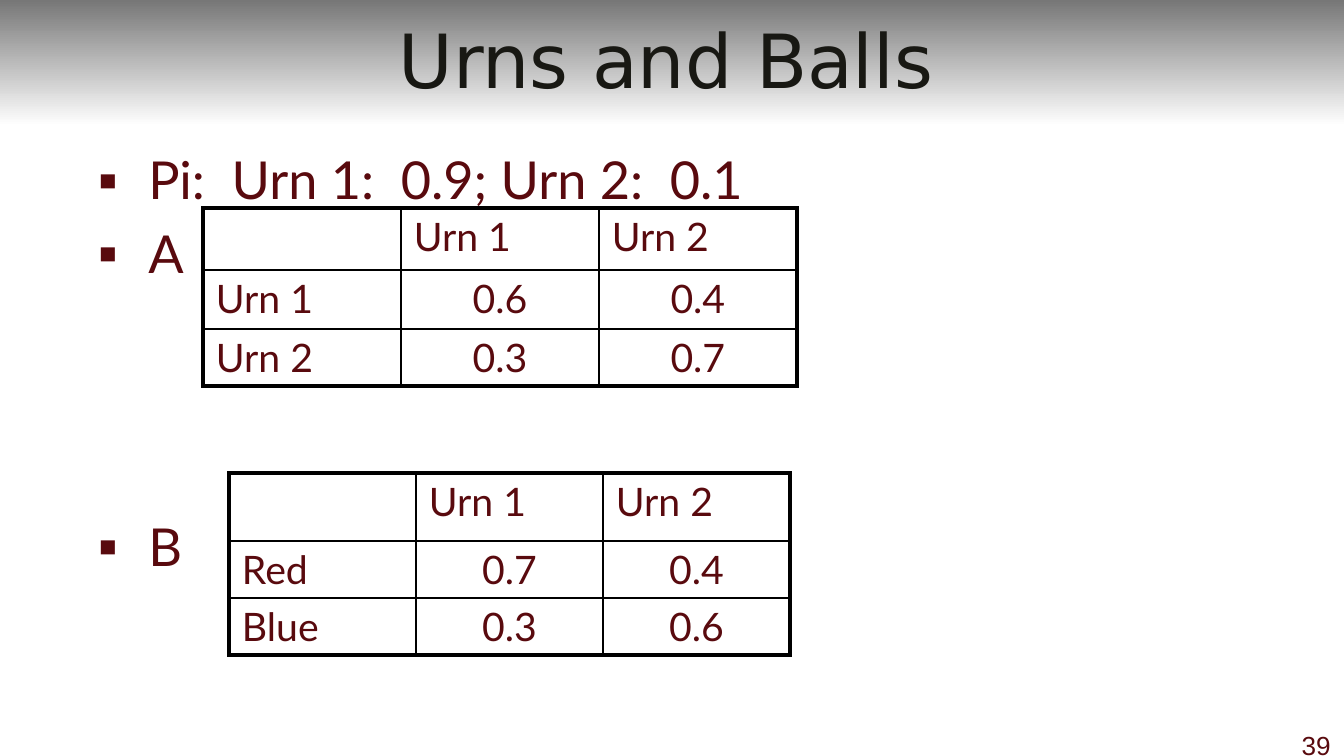
from dataclasses import dataclass

from lxml import etree
from pptx import Presentation
from pptx.dml.color import RGBColor
from pptx.enum.shapes import MSO_SHAPE
from pptx.enum.text import MSO_ANCHOR, PP_ALIGN
from pptx.oxml.ns import qn
from pptx.util import Pt

RECTANGLE = MSO_SHAPE.RECTANGLE
MIDDLE = MSO_ANCHOR.MIDDLE
LEFT, CENTER, RIGHT = PP_ALIGN.LEFT, PP_ALIGN.CENTER, PP_ALIGN.RIGHT
EMU_PER_INCH, PX_PER_INCH = 914400, 134.4


@dataclass(frozen=True)
class Theme:
    maroon: str = "590A0E"
    title_ink: str = "181813"
    rule: str = "000000"
    band_top: str = "777777"
    band_bottom: str = "FFFFFF"
    title_font: str = "DejaVu Sans"
    body_font: str = "Lato"
    number_font: str = "Arial"
    title_size: int = 40
    body_size: int = 28
    cell_size: int = 21
    number_size: int = 14
    outer_rule: float = 2.25
    inner_rule: float = 1


theme = Theme()


def px(length):
    return round(length * EMU_PER_INCH / PX_PER_INCH)


def style(paragraph, font, size, color, align=LEFT):
    paragraph.alignment = align
    for run in paragraph.runs:
        run.font.name = font
        run.font.size = Pt(size)
        run.font.color.rgb = RGBColor.from_string(color)


presentation = Presentation()
presentation.slide_width = px(1344)
presentation.slide_height = px(756)
slide = presentation.slides.add_slide(presentation.slide_layouts[6])

# Header band
band = slide.shapes.add_shape(RECTANGLE, 0, 0, px(1344), px(126))
band.shadow.inherit = False
band.line.fill.background()
band.fill.gradient()
band.fill.gradient_angle = 270
band_colors = (theme.band_top, theme.band_bottom)
for position, (stop, color) in enumerate(zip(band.fill.gradient_stops, band_colors)):
    stop.color.rgb = RGBColor.from_string(color)
    stop.position = position

# Slide number
number = slide.shapes.add_textbox(px(1277), px(723), px(67), px(33)).text_frame
number.word_wrap = True
number.text = "39"
style(number.paragraphs[0], theme.number_font, theme.number_size, theme.maroon, RIGHT)

# Title
title = slide.shapes.add_textbox(px(11), 0, px(1310), px(118)).text_frame
title.word_wrap = True
title.vertical_anchor = MIDDLE
title.text = "Urns and Balls"
style(title.paragraphs[0], theme.title_font, theme.title_size, theme.title_ink, CENTER)

# Bullets, spaced so that A and B stand beside their tables
bullets = slide.shapes.add_textbox(px(84), px(141), px(1156), px(527)).text_frame
bullets.word_wrap = True
bullets.text = "Pi:  Urn 1:  0.9; Urn 2:  0.1\nA\nB"
for bullet, space_before in zip(bullets.paragraphs, (0, 5.6, 123.4)):
    properties = bullet._p.get_or_add_pPr()
    properties.set("marL", str(px(51)))
    properties.set("indent", str(px(-51)))
    etree.SubElement(properties, qn("a:buFont"), typeface=theme.body_font)
    etree.SubElement(properties, qn("a:buChar"), char="▪")
    bullet.space_before = Pt(space_before)
    style(bullet, theme.body_font, theme.body_size, theme.maroon)

# Transition (A) and emission (B) tables: left, top, column width, row heights, values
matrices = [
    (203, 208, 198, (62, 59, 57),
     [("", "Urn 1", "Urn 2"), ("Urn 1", "0.6", "0.4"), ("Urn 2", "0.3", "0.7")]),
    (229, 473, 187, (68, 57, 57),
     [("", "Urn 1", "Urn 2"), ("Red", "0.7", "0.4"), ("Blue", "0.3", "0.6")]),
]
for left, top, column_width, row_heights, values in matrices:
    last = len(values) - 1
    table = slide.shapes.add_table(
        len(values), len(values[0]), px(left), px(top),
        px(column_width * len(values[0])), px(sum(row_heights))).table
    table.first_row = table.horz_banding = False
    for column in table.columns:
        column.width = px(column_width)
    for r, row in enumerate(values):
        table.rows[r].height = px(row_heights[r])
        for c, value in enumerate(row):
            cell = table.cell(r, c)
            cell.margin_left = cell.margin_right = px(13)
            cell.margin_top = cell.margin_bottom = px(5)
            cell.fill.background()
            cell.text = value
            style(cell.text_frame.paragraphs[0], theme.body_font, theme.cell_size,
                  theme.maroon, CENTER if r and c else LEFT)

            # Heavy rule on the outside, thin rule inside
            edges = {"lnL": c == 0, "lnR": c == last, "lnT": r == 0, "lnB": r == last}
            cell_properties = cell._tc.get_or_add_tcPr()
            for place, (edge, is_outer) in enumerate(edges.items()):
                width = Pt(theme.outer_rule if is_outer else theme.inner_rule)
                line = etree.Element(qn(f"a:{edge}"), w=str(width))
                fill = etree.SubElement(line, qn("a:solidFill"))
                etree.SubElement(fill, qn("a:srgbClr"), val=theme.rule)
                cell_properties.insert(place, line)

presentation.save("out.pptx")
